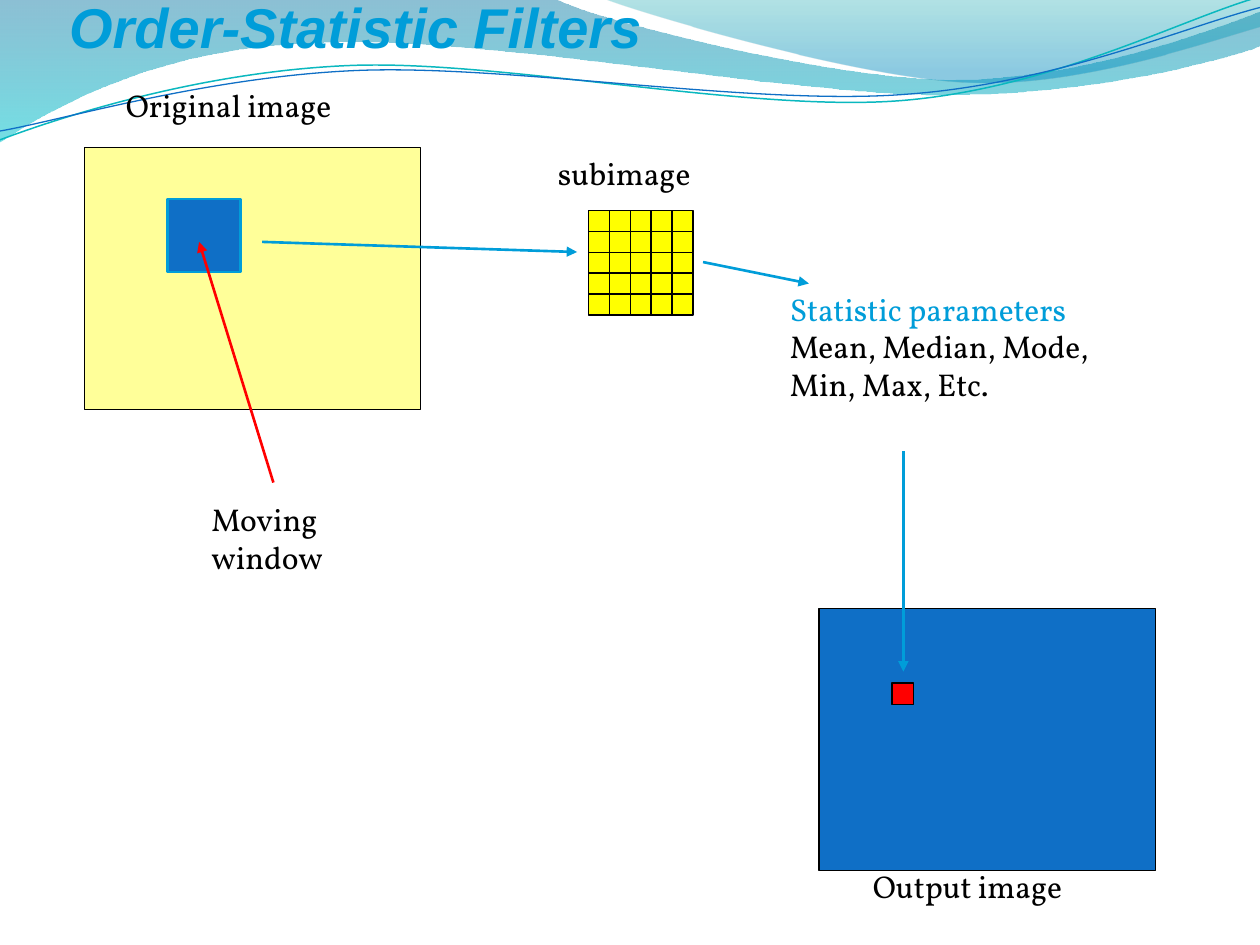
from itertools import product
from math import cos, radians, sin

from lxml.etree import SubElement
from pptx import Presentation
from pptx.dml.color import RGBColor
from pptx.enum.shapes import MSO_CONNECTOR, MSO_SHAPE
from pptx.enum.text import MSO_AUTO_SIZE
from pptx.oxml.ns import qn
from pptx.util import Inches, Pt

COLORS = {
    "black": "000000",
    "sky": "009DD9",
    "blue": "0F6FC6",
    "red": "FF0000",
    "cream": "FFFF99",
    "yellow": "FFFF00",
    "teal": "0AB8BF",
    "wave_top": "0074A1",
    "wave_bottom": "00C6CF",
    "fan_top": "00A1A9",
    "fan_bottom": "008BBF",
}
TILT = 2.7


def rgb(name):
    return RGBColor.from_string(COLORS[name])


def add_curve(shapes, start, segments, close):
    builder = shapes.build_freeform(Inches(start[0]), Inches(start[1]))
    builder.add_line_segments(
        [(Inches(x), Inches(y)) for segment in segments for x, y in segment],
        close=close)
    sp = builder.convert_to_shape()
    sp.shadow.inherit = False
    lines = iter(list(sp._element.iter(qn("a:lnTo"))))
    for segment in segments:
        group = [next(lines) for _ in segment]
        if len(group) == 3:
            group[0].tag = qn("a:cubicBezTo")
            for line in group[1:]:
                group[0].append(line[0])
                line.getparent().remove(line)
    return sp


def add_band(s, start, segments, stops):
    sp = add_curve(s.shapes, start, segments, True)
    sp.line.fill.background()
    sp.fill.gradient()
    sp.fill.gradient_angle = 270
    for stop, (position, color, _) in zip(sp.fill.gradient_stops, stops):
        stop.position = position
        stop.color.rgb = rgb(color)
    for clr, (_, _, opacity) in zip(sp._element.spPr.iter(qn("a:srgbClr")), stops):
        SubElement(clr, qn("a:alpha")).set("val", str(opacity * 1000))


def turn(point, center):
    dx, dy = point[0] - center[0], point[1] - center[1]
    c, n = cos(radians(TILT)), sin(radians(TILT))
    return center[0] + dx * c - dy * n, center[1] + dx * n + dy * c


def add_strand(shapes, center, start, segments, color, width):
    level = [[turn(point, center) for point in segment] for segment in segments]
    sp = add_curve(shapes, turn(start, center), level, False)
    sp.rotation = 360 - TILT
    sp.fill.background()
    sp.line.color.rgb = rgb(color)
    sp.line.width = Pt(width)


def add_waves(s):
    add_band(s, (0, 0), [
        [(4.4, -0.01)],
        [(4.76, 0.17), (6.64, 0.63), (7.58, 0.63)],
        [(8.53, 0.63), (9.58, 0.26), (10, 0.09)],
        [(10.01, 0.36)],
        [(9.83, 0.44), (8.7, 0.76), (7.46, 0.75)],
        [(6.22, 0.75), (3.82, 0.28), (2.57, 0.34)],
        [(1.29, 0.36), (0.46, 0.83), (-0.01, 1.13)],
        [(0, 0)],
    ], [(0, "wave_top", 45), (1, "wave_bottom", 55)])
    add_band(s, (4.79, -0.01), [
        [(5.09, 0.11), (6.82, 0.62), (7.69, 0.65)],
        [(8.56, 0.69), (9.61, 0.32), (10, 0.21)],
        [(10, 0)],
        [(4.79, -0.01)],
    ], [(0, "fan_top", 30), (0.8, "fan_bottom", 45)])
    strands = s.shapes.add_group_shape().shapes
    add_strand(strands, (4.99, 0.57), (0, 1.11), [
        [(0.48, 0.93), (1.58, 0.57), (2.77, 0.52)],
        [(3.95, 0.47), (5.93, 0.89), (7.13, 0.8)],
        [(8.33, 0.71), (9.38, 0.15), (9.98, -0.02)],
    ], "teal", 0.85)
    add_strand(strands, (5, 0.59), (0, 1.04), [
        [(0.47, 0.96), (1.64, 0.61), (2.83, 0.56)],
        [(4.03, 0.51), (5.97, 0.84), (7.17, 0.75)],
        [(8.36, 0.67), (9.41, 0.21), (10, 0.06)],
    ], "blue", 0.75)


def add_rect(shapes, x, y, w, h, fill, line="black", width=0.75):
    sp = shapes.add_shape(
        MSO_SHAPE.RECTANGLE, Inches(x), Inches(y), Inches(w), Inches(h))
    sp.shadow.inherit = False
    sp.fill.solid()
    sp.fill.fore_color.rgb = rgb(fill)
    sp.line.color.rgb = rgb(line)
    sp.line.width = Pt(width)


def add_text(s, x, y, w, h, lines, size=18, font="Vollkorn", strong=False):
    tf = s.shapes.add_textbox(
        Inches(x), Inches(y), Inches(w), Inches(h)).text_frame
    tf.word_wrap = False
    tf.auto_size = MSO_AUTO_SIZE.SHAPE_TO_FIT_TEXT
    for i, (text, color) in enumerate(lines):
        p = tf.add_paragraph() if i else tf.paragraphs[0]
        r = p.add_run()
        r.text = text
        r.font.name = font
        r.font.size = Pt(size)
        r.font.bold = r.font.italic = strong
        r.font.color.rgb = rgb(color)


def add_arrow(s, x1, y1, x2, y2, color="sky"):
    arrow = s.shapes.add_connector(
        MSO_CONNECTOR.STRAIGHT, Inches(x1), Inches(y1), Inches(x2), Inches(y2))
    arrow.line.color.rgb = rgb(color)
    arrow.line.width = Pt(1.5)
    SubElement(arrow.line._get_or_add_ln(), qn("a:tailEnd")).set("type", "triangle")
    SubElement(arrow._element.spPr, qn("a:effectLst"))


def add_original_image(s, x, y, w, h):
    add_rect(s.shapes, x, y, w, h, "cream")
    add_rect(s.shapes, x + 0.66, y + 0.41, 0.58, 0.58, "blue", "sky", 1.5)
    add_text(s, x + 0.23, y - 0.54, 2.21, 0.5, [("Original image", "black")])
    add_text(s, x + 0.91, y + 2.75, 1.34, 0.9,
             [("Moving", "black"), ("window", "black")])


def add_subimage(s, x, y, size, count=5):
    add_text(s, x - 0.34, y - 0.5, 1.48, 0.5, [("subimage", "black")])
    cell = size / count
    grid = s.shapes.add_group_shape()
    for row, col in product(range(count), repeat=2):
        add_rect(grid.shapes, x + col * cell, y + row * cell, cell, cell, "yellow")


def add_statistics(s, x, y, w, h):
    add_text(s, x, y, w, h, [
        ("Statistic parameters", "sky"),
        ("Mean, Median, Mode,", "black"),
        ("Min, Max, Etc.", "black"),
    ])


def add_output_image(s, x, y, w, h):
    add_rect(s.shapes, x, y, w, h, "blue")
    add_rect(s.shapes, x + 0.58, y + 0.59, 0.17, 0.17, "red")
    add_text(s, x + 0.33, y + 2, 2.02, 0.5, [("Output image", "black")])


def add_flow(s):
    add_arrow(s, 2.08, 1.92, 4.58, 2)
    add_arrow(s, 5.58, 2.08, 6.42, 2.25)
    add_arrow(s, 7.17, 3.58, 7.17, 5.33)
    add_arrow(s, 2.17, 3.83, 1.58, 1.92, "red")


def main():
    prs = Presentation()
    prs.slide_width, prs.slide_height = Inches(10), Inches(7.5)
    s = prs.slides.add_slide(prs.slide_layouts[6])
    add_waves(s)
    add_text(s, 0.45, -0.11, 4.78, 0.64,
             [("Order-Statistic Filters", "sky")], 32, "Arial", True)
    add_original_image(s, 0.67, 1.17, 2.67, 2.08)
    add_subimage(s, 4.67, 1.67, 0.83)
    add_statistics(s, 6.17, 2.25, 3.26, 1.3)
    add_output_image(s, 6.5, 4.83, 2.67, 2.08)
    add_flow(s)
    prs.save("out.pptx")


if __name__ == "__main__":
    main()
